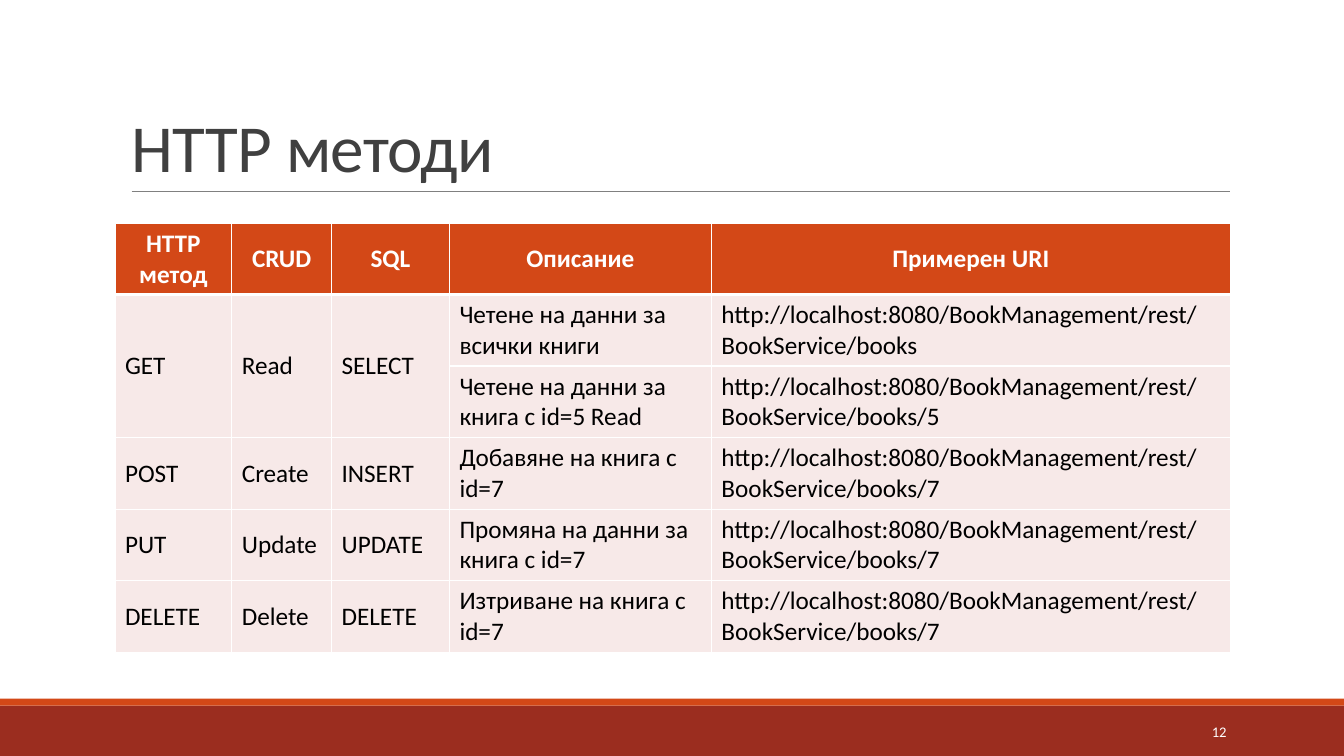
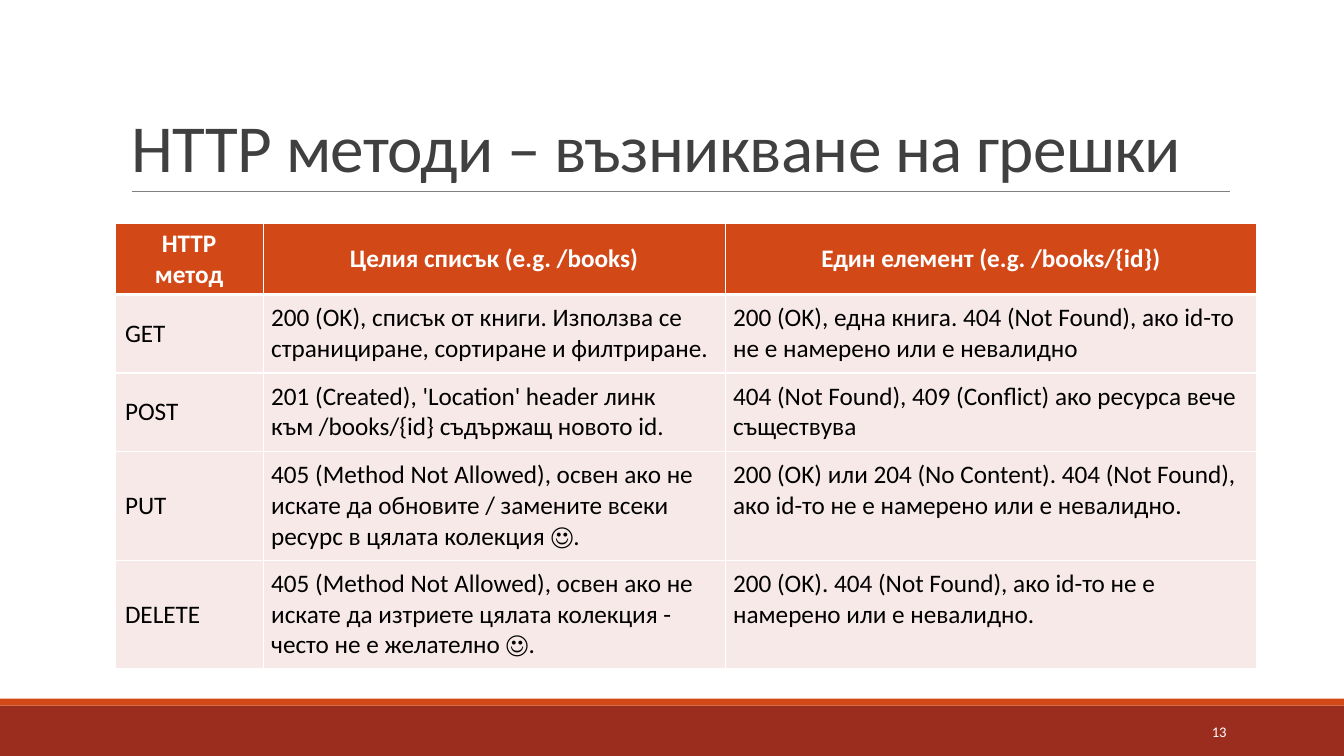
from dataclasses import dataclass

from lxml.etree import SubElement
from pptx import Presentation
from pptx.dml.color import RGBColor
from pptx.enum.shapes import MSO_CONNECTOR, MSO_SHAPE
from pptx.enum.text import MSO_ANCHOR, PP_ALIGN
from pptx.oxml.ns import qn
from pptx.util import Inches, Pt


@dataclass(frozen=True)
class Theme:
    font: str = "Calibri"
    white: str = "FFFFFF"
    black: str = "000000"
    title: str = "404040"
    rule: str = "808080"
    accent: str = "D34817"
    footer: str = "9B2D1F"
    body_fill: str = "F7E9E8"
    title_size: float = 48
    table_size: float = 18
    number_size: float = 10.5
    title_tracking: int = -50
    rule_width: float = 0.5
    border: float = 1
    header_border: float = 3


THEME = Theme()


@dataclass(frozen=True)
class Box:
    left: int
    top: int
    width: int
    height: int

    def region(self, left, top, width, height):
        return Box(
            self.left + round(self.width * left / 100),
            self.top + round(self.height * top / 100),
            round(self.width * width / 100),
            round(self.height * height / 100),
        )

    def place(self):
        return self.left, self.top, self.width, self.height


@dataclass(frozen=True)
class TableContent:
    width: float
    height: float
    column_weights: list
    row_weights: list
    rows: list
    centred_columns: int
    body_inset: tuple


def add_run(paragraph, text, size, color, bold=False):
    run = paragraph.add_run()
    run.text = text
    run.font.name = THEME.font
    run.font.size = Pt(size)
    run.font.bold = bold
    run.font.color.rgb = RGBColor.from_string(color)
    return run


def add_text_frame(slide, box, anchor):
    frame = slide.shapes.add_textbox(*box.place()).text_frame
    frame.word_wrap = True
    frame.vertical_anchor = anchor
    return frame


def add_band(slide, box, color):
    band = slide.shapes.add_shape(MSO_SHAPE.RECTANGLE, *box.place())
    band.shadow.inherit = False
    band.fill.solid()
    band.fill.fore_color.rgb = RGBColor.from_string(color)
    band.line.fill.background()


def add_title(slide, box, text):
    rule_top = box.top + box.height
    side = Inches(0.1)
    rule = slide.shapes.add_connector(
        MSO_CONNECTOR.STRAIGHT, box.left + side, rule_top, box.left + box.width, rule_top
    )
    rule.line.color.rgb = RGBColor.from_string(THEME.rule)
    rule.line.width = Pt(THEME.rule_width)
    SubElement(rule._element.spPr, qn("a:effectLst"))

    paragraph = add_text_frame(slide, box, MSO_ANCHOR.BOTTOM).paragraphs[0]
    paragraph.line_spacing = 0.85
    run = add_run(paragraph, text, THEME.title_size, THEME.title)
    run._r.get_or_add_rPr().set("spc", str(THEME.title_tracking))


def add_footer(slide, box, number):
    add_band(slide, box.region(0, 12.5, 100, 87.5), THEME.footer)
    add_band(slide, box.region(0, 0, 100, 12.5), THEME.accent)
    number_box = box.region(81.25, 23, 10.75, 70)
    paragraph = add_text_frame(slide, number_box, MSO_ANCHOR.MIDDLE).paragraphs[0]
    paragraph.alignment = PP_ALIGN.RIGHT
    add_run(paragraph, str(number), THEME.number_size, THEME.white)


def set_borders(cell, top, bottom):
    properties = cell._tc.get_or_add_tcPr()
    widths = {"lnL": THEME.border, "lnR": THEME.border, "lnT": top, "lnB": bottom}
    for tag, width in widths.items():
        line = SubElement(properties, qn(f"a:{tag}"), w=str(int(Pt(width))))
        fill = SubElement(line, qn("a:solidFill"))
        SubElement(fill, qn("a:srgbClr"), val=THEME.white)


def style_cell(cell, row, column, content):
    header = row == 0
    set_borders(
        cell,
        THEME.header_border if row == 1 else THEME.border,
        THEME.header_border if header else THEME.border,
    )
    cell.fill.solid()
    cell.fill.fore_color.rgb = RGBColor.from_string(THEME.accent if header else THEME.body_fill)
    centred = header or column < content.centred_columns
    cell.vertical_anchor = MSO_ANCHOR.MIDDLE if centred else MSO_ANCHOR.TOP
    horizontal, vertical = (0.1, 0.05) if centred else content.body_inset
    cell.margin_left = cell.margin_right = Inches(horizontal)
    cell.margin_top = cell.margin_bottom = Inches(vertical)


def share_out(total, weights):
    return [round(total * weight / sum(weights)) for weight in weights]


def add_method_table(slide, box, content):
    shape = slide.shapes.add_table(
        len(content.rows), len(content.column_weights), *box.place()
    )
    table = shape.table
    table.horz_banding = False
    for column, width in zip(table.columns, share_out(box.width, content.column_weights)):
        column.width = width
    for row, height in zip(table.rows, share_out(box.height, content.row_weights)):
        row.height = height
    for row, texts in enumerate(content.rows):
        for column, text in enumerate(texts):
            cell = table.cell(row, column)
            style_cell(cell, row, column, content)
            if text is None:
                table.cell(row - 1, column).merge(cell)
                continue
            header = row == 0
            paragraph = cell.text_frame.paragraphs[0]
            paragraph.alignment = PP_ALIGN.CENTER if header else PP_ALIGN.LEFT
            color = THEME.white if header else THEME.black
            add_run(paragraph, text, THEME.table_size, color, header)


def add_table_slide(presentation, number, title, content):
    slide = presentation.slides.add_slide(presentation.slide_layouts[6])
    page = Box(0, 0, presentation.slide_width, presentation.slide_height)
    add_footer(slide, page.region(0, 92.4, 100, 7.6), number)
    add_title(slide, page.region(9.05, 4.13, 82.5, 21.2), title)
    table_box = page.region(8.55, 29.6, content.width, content.height)
    add_method_table(slide, table_box, content)


BOOKS = "http://localhost:8080/BookManagement/rest/BookService/books"

METHODS = TableContent(
    width=83,
    height=56.7,
    column_weights=[1.16, 0.99, 1.17, 2.6, 5.15],
    row_weights=[0.7] + [0.71] * 5,
    centred_columns=3,
    body_inset=(0.1, 0.05),
    rows=[
        ["HTTP метод", "CRUD", "SQL", "Описание", "Примерен URI"],
        ["GET", "Read", "SELECT", "Четене на данни за всички книги", BOOKS],
        [None, None, None, "Четене на данни за книга с id=5 Read", f"{BOOKS}/5"],
        ["POST", "Create", "INSERT", "Добавяне на книга с id=7", f"{BOOKS}/7"],
        ["PUT", "Update", "UPDATE", "Промяна на данни за книга с id=7", f"{BOOKS}/7"],
        ["DELETE", "Delete", "DELETE", "Изтриване на книга с id=7", f"{BOOKS}/7"],
    ],
)

ERRORS = TableContent(
    width=84.95,
    height=58.9,
    column_weights=[1.47, 4.58, 5.27],
    row_weights=[0.7, 0.78, 0.78, 1.08, 1.08],
    centred_columns=1,
    body_inset=(0.08, 0.08),
    rows=[
        ["HTTP метод", "Целия списък (e.g. /books)", "Един елемент (e.g. /books/{id})"],
        [
            "GET",
            "200 (OK), списък от книги. Използва се странициране, сортиране и филтриране.",
            "200 (OK), една книга. 404 (Not Found), ако id-то не е намерено или е невалидно",
        ],
        [
            "POST",
            "201 (Created), 'Location' header линк към /books/{id} съдържащ новото id.",
            "404 (Not Found), 409 (Conflict) ако ресурса вече съществува",
        ],
        [
            "PUT",
            "405 (Method Not Allowed), освен ако не искате да обновите / замените "
            "всеки ресурс в цялата колекция ☺.",
            "200 (OK) или 204 (No Content). 404 (Not Found), ако id-то не е намерено "
            "или е невалидно.",
        ],
        [
            "DELETE",
            "405 (Method Not Allowed), освен ако не искате да изтриете цялата колекция - "
            "често не е желателно ☺.",
            "200 (OK). 404 (Not Found), ако id-то не е намерено или е невалидно.",
        ],
    ],
)


def main():
    presentation = Presentation()
    presentation.slide_width = Inches(13.33)
    presentation.slide_height = Inches(7.5)
    add_table_slide(presentation, 12, "HTTP методи", METHODS)
    add_table_slide(presentation, 13, "HTTP методи – възникване на грешки", ERRORS)
    presentation.save("out.pptx")


if __name__ == "__main__":
    main()
